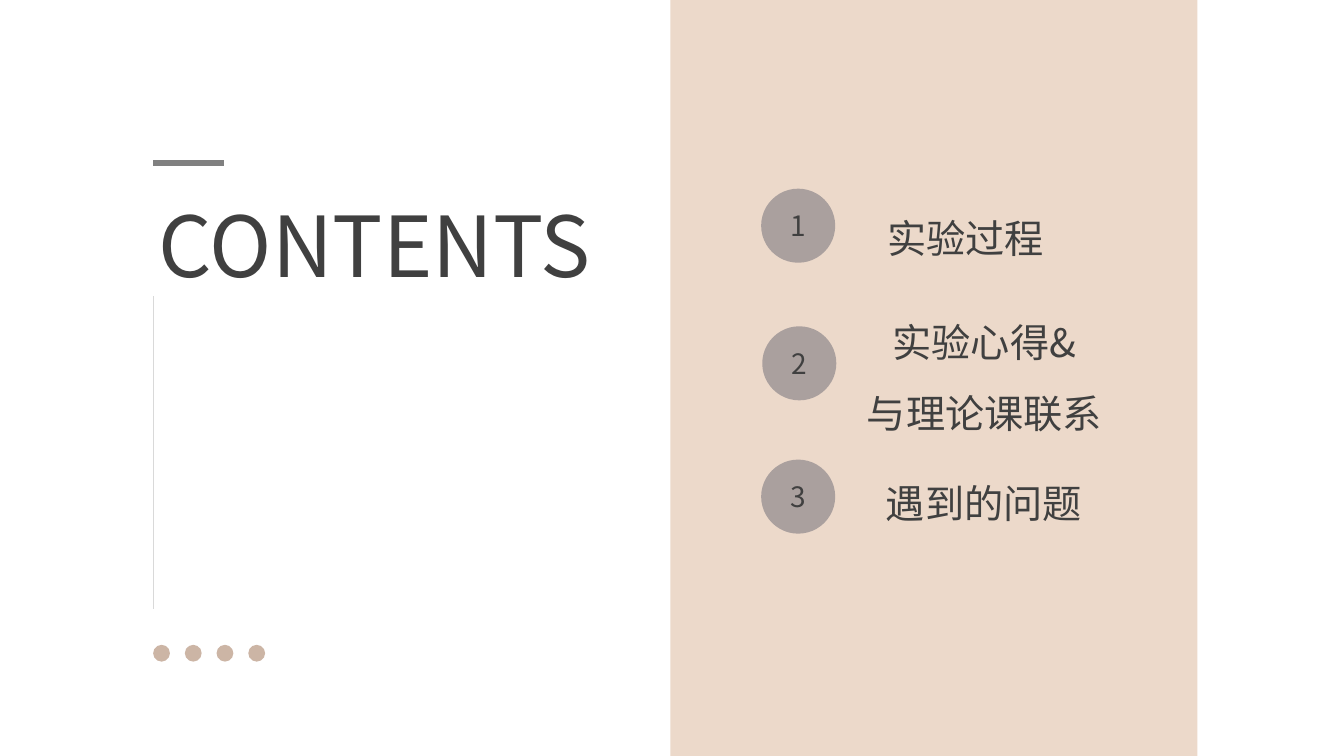
import pptx
import pptx.util
import pptx.dml.color
import pptx.enum.shapes
import pptx.enum.text
import pptx.oxml.ns
from lxml import etree

Pt = pptx.util.Pt
Shape = pptx.enum.shapes.MSO_SHAPE
Text = pptx.enum.text
FONT = "Noto Sans CJK SC"
INK = "404040"
LEFT = 109.4


def color(code):
    return pptx.dml.color.RGBColor.from_string(code)


def write(item, lines, size, space=None):
    frame = item.text_frame
    frame.text = "\n".join(lines)
    frame.word_wrap = True
    frame.vertical_anchor = Text.MSO_ANCHOR.MIDDLE
    for para in frame.paragraphs:
        para.alignment = Text.PP_ALIGN.CENTER
        para.line_spacing = space
        font = para.font
        font.size = Pt(size)
        font.name = FONT
        font.color.rgb = color(INK)
        # East Asian typeface
        props = para._p.pPr.find(pptx.oxml.ns.qn("a:defRPr"))
        east = etree.SubElement(props, pptx.oxml.ns.qn("a:ea"))
        east.set("typeface", FONT)


def add_block(slide, kind, box, fill):
    block = slide.shapes.add_shape(kind, *map(Pt, box))
    block.shadow.inherit = False
    block.fill.solid()
    block.fill.fore_color.rgb = color(fill)
    block.line.fill.background()
    return block


def add_line(slide, ends, ink, width):
    line = slide.shapes.add_connector(
        pptx.enum.shapes.MSO_CONNECTOR.STRAIGHT, *map(Pt, ends))
    line.line.color.rgb = color(ink)
    line.line.width = Pt(width)
    etree.SubElement(line._element.spPr, pptx.oxml.ns.qn("a:effectLst"))


def add_title(slide, text, box):
    title = slide.shapes.title
    title.left, title.top, title.width, title.height = map(Pt, box)
    write(title, [text], 60)
    title.text_frame.auto_size = Text.MSO_AUTO_SIZE.NONE


def add_entry(slide, mark, spot, lines, box):
    disc = add_block(slide, Shape.OVAL, (*spot, 52.9, 52.9), "AAA09E")
    write(disc, [mark], 20)
    label = slide.shapes.add_textbox(*map(Pt, box))
    write(label, lines, 28, 1.5)
    label.text_frame.auto_size = Text.MSO_AUTO_SIZE.SHAPE_TO_FIT_TEXT


def main():
    deck = pptx.Presentation()
    deck.slide_width, deck.slide_height = Pt(960), Pt(540)
    slide = deck.slides.add_slide(deck.slide_layouts[5])

    # Panel and heading
    add_block(slide, Shape.RECTANGLE, (478.8, 0, 376.5, 540), "ECD9CA")
    add_title(slide, "CONTENTS", (87.1, 134.6, 360.7, 79.9))

    # Rules and dots
    add_line(slide, (LEFT, 211.7, LEFT, 434.9), "D9D9D9", 0.25)
    add_line(slide, (LEFT, 116.6, 159.8, 116.6), "808080", 4.5)
    for step in range(4):
        add_block(slide, Shape.OVAL,
                  (LEFT + 22.65 * step, 460.6, 12, 12), "CCB5A5")

    # Numbered entries
    entries = [
        ((543.7, 134.8), ["实验过程"], (595.4, 135.4, 188.6, 51.8)),
        ((544.5, 233.1), ["实验心得&", "与理论课联系"],
         (589, 209.5, 228.2, 103)),
        ((543.7, 328.3), ["遇到的问题"], (608.4, 324.7, 188.6, 51.8)),
    ]
    for count, (spot, lines, box) in enumerate(entries, 1):
        add_entry(slide, str(count), spot, lines, box)

    deck.save("out.pptx")


if __name__ == "__main__":
    main()
